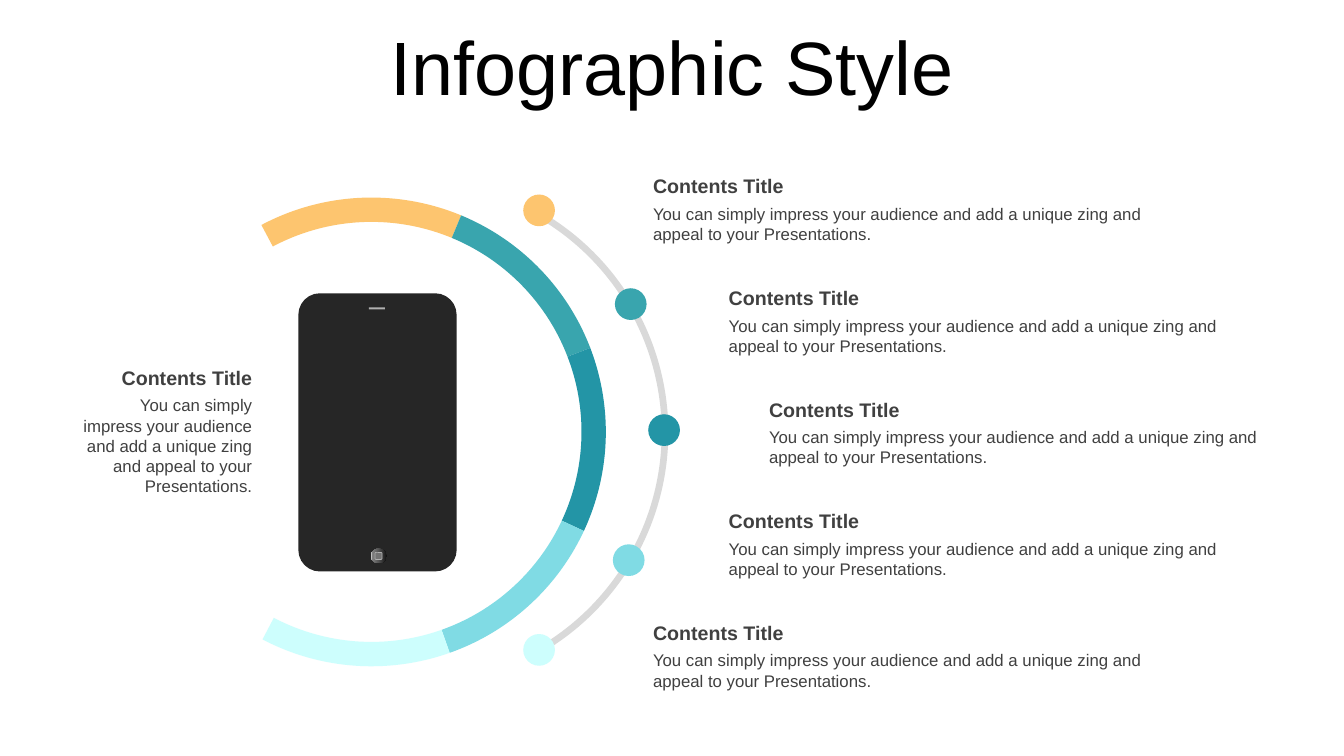
"""Build a phone infographic with a five-part ring and matching topics."""
from dataclasses import dataclass
from itertools import pairwise

from lxml.etree import SubElement
from pptx import Presentation
from pptx.dml.color import RGBColor
from pptx.enum.shapes import MSO_SHAPE as SHAPE
from pptx.enum.text import MSO_ANCHOR as ANCHOR, MSO_AUTO_SIZE as AUTO, PP_ALIGN as ALIGN
from pptx.oxml.ns import qn
from pptx.shapes.autoshape import Shape
from pptx.slide import Slide
from pptx.util import Emu, Inches, Pt

SLIDE_W, SLIDE_H = Inches(13.33), Inches(7.5)


@dataclass(frozen=True)
class Theme:
    """Colours, font and type sizes."""
    font: str = "Arial"
    title: str = "000000"
    text: str = "404040"
    rail: str = "D9D9D9"
    phone: str = "262626"
    trim: str = "B0B0B0"
    icon: str = "737373"
    button: tuple = ((0, "0F0F0F"), (56, "595959"), (91, "808080"), (100, "BFBFBF"))
    title_pt: int = 54
    heading_pt: int = 14
    body_pt: int = 12


@dataclass(frozen=True)
class Box:
    """A frame in percent of the slide's width and height."""
    left: float
    top: float
    width: float
    height: float

    def emu(self) -> tuple[Emu, Emu, Emu, Emu]:
        """Return left, top, width and height as lengths."""
        return (Emu(int(SLIDE_W * self.left / 100)), Emu(int(SLIDE_H * self.top / 100)),
                Emu(int(SLIDE_W * self.width / 100)), Emu(int(SLIDE_H * self.height / 100)))


@dataclass(frozen=True)
class Topic:
    """A ring colour with its dot's corner and its text's left edge."""
    color: str
    dot_left: float
    dot_top: float
    text_left: float


THEME = Theme()
HEADING = "Contents Title"
BODY = ("You can simply impress your audience and add a unique zing "
        "and appeal to your Presentations.")
TOPICS = (
    Topic("FDC56F", 38.93, 25.73, 47.85),
    Topic("39A5AE", 45.75, 38.13, 53.48),
    Topic("2395A6", 48.23, 54.8, 56.48),
    Topic("80DBE4", 45.6, 72, 53.48),
    Topic("CDFEFD", 38.93, 83.87, 47.85),
)
TITLE = Box(2.55, 4.13, 94.95, 10.53)
RAIL = Box(11.78, 23.47, 37.95, 67.47)
RING = Box(10.2, 26.13, 34.88, 62)
RING_ANGLES = (242, 292.5, 339, 25, 70.5, 117.7)
PHONE = Box(22.2, 38.8, 11.78, 36.8)
SPEAKER = Box(27.45, 40.67, 1.2, 0.27)
BUTTON = Box(27.6, 72.53, 1.2, 2)
ICON = Box(27.9, 73.07, 0.53, 0.93)
DOT_W, DOT_H = 2.36, 4.2
TOPIC_TOP, TOPIC_STEP, TOPIC_W, TOPIC_H = 22.4, 14.77, 37.95, 6.67
HEADING_H, BODY_DROP = 4.53, 3.87


def add_solid(s: Slide, kind: SHAPE, box: Box, color: str) -> Shape:
    """Add a filled shape without outline or shadow."""
    sp = s.shapes.add_shape(kind, *box.emu())
    sp.shadow.inherit = False
    sp.fill.solid()
    sp.fill.fore_color.rgb = RGBColor.from_string(color)
    sp.line.fill.background()
    return sp


def add_arc(s: Slide, box: Box, start: float, end: float, depth: float, color: str) -> None:
    """Add a block arc between two angles in degrees."""
    sp = add_solid(s, SHAPE.BLOCK_ARC, box, color)
    for i, value in enumerate((start * 0.6, end * 0.6, depth)):
        sp.adjustments[i] = value


def add_text(s: Slide, box: Box, text: str, size: int, bold: bool, align: ALIGN) -> None:
    """Add a wrapped one-paragraph text box."""
    tf = s.shapes.add_textbox(*box.emu()).text_frame
    tf.word_wrap = True
    tf.auto_size = AUTO.SHAPE_TO_FIT_TEXT
    p = tf.paragraphs[0]
    p.text, p.alignment = text, align
    p.font.name, p.font.size, p.font.bold = THEME.font, Pt(size), bold
    p.font.color.rgb = RGBColor.from_string(THEME.text)


def add_block(s: Slide, box: Box, align: ALIGN = ALIGN.LEFT) -> None:
    """Add a heading at the box's top with its body below."""
    add_text(s, Box(box.left, box.top, box.width, HEADING_H),
             HEADING, THEME.heading_pt, True, align)
    add_text(s, Box(box.left, box.top + BODY_DROP, box.width, box.height),
             BODY, THEME.body_pt, False, align)


def add_phone(s: Slide) -> None:
    """Draw the phone with its speaker and home button."""
    add_solid(s, SHAPE.ROUNDED_RECTANGLE, PHONE, THEME.phone).adjustments[0] = 0.136
    add_solid(s, SHAPE.RECTANGLE, SPEAKER, THEME.trim)
    button = add_solid(s, SHAPE.OVAL, BUTTON, THEME.phone)
    button.fill.gradient()
    button.fill.gradient_angle = 180
    stops = button.fill.gradient_stops
    stop_list = next(button.element.iter(qn("a:gsLst")))
    for gs in stop_list[:len(stops)]:
        stop_list.remove(gs)
    for share, color in THEME.button:
        gs = SubElement(stop_list, qn("a:gs"), pos=str(share * 1000))
        SubElement(gs, qn("a:srgbClr"), val=color)
    icon = add_solid(s, SHAPE.ROUNDED_RECTANGLE, ICON, THEME.icon)
    icon.line.color.rgb = RGBColor.from_string(THEME.trim)
    icon.line.width = Pt(0.5)


def set_title(s: Slide, text: str) -> None:
    """Place and format the slide's title."""
    sp = s.shapes.title
    sp.left, sp.top, sp.width, sp.height = TITLE.emu()
    tf = sp.text_frame
    tf.auto_size, tf.vertical_anchor = AUTO.NONE, ANCHOR.MIDDLE
    p = tf.paragraphs[0]
    p.text, p.alignment = text, ALIGN.CENTER
    p.line_spacing, p.space_before = 0.9, Pt(10)
    p.font.name, p.font.size = THEME.font, Pt(THEME.title_pt)
    p.font.color.rgb = RGBColor.from_string(THEME.title)


def main() -> None:
    """Build and save the slide."""
    prs = Presentation()
    prs.slide_width, prs.slide_height = SLIDE_W, SLIDE_H
    s = prs.slides.add_slide(prs.slide_layouts[5])
    set_title(s, "Infographic Style")
    add_phone(s)
    add_arc(s, RAIL, 300, 60.5, 0.013, THEME.rail)
    for row, (topic, (start, end)) in enumerate(zip(TOPICS, pairwise(RING_ANGLES))):
        add_arc(s, RING, start, end, 0.052, topic.color)
        add_solid(s, SHAPE.OVAL, Box(topic.dot_left, topic.dot_top, DOT_W, DOT_H), topic.color)
        add_block(s, Box(topic.text_left, TOPIC_TOP + row * TOPIC_STEP, TOPIC_W, TOPIC_H))
    add_block(s, Box(5.33, 47.73, 14.18, 14.8), ALIGN.RIGHT)
    prs.save("out.pptx")


if __name__ == "__main__":
    main()
